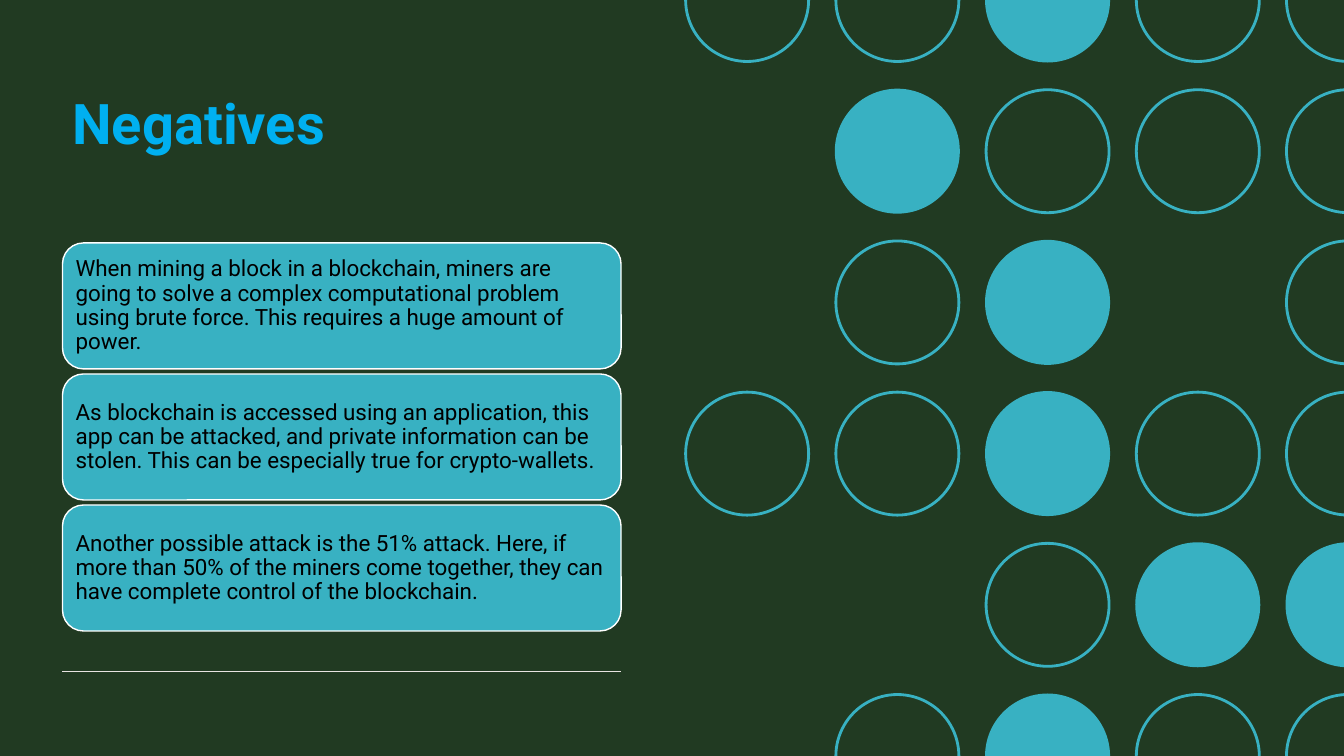
from dataclasses import dataclass
from math import acos, cos, degrees, radians, sin

from lxml.etree import SubElement
from pptx import Presentation
from pptx.dml.color import RGBColor as Rgb
from pptx.enum.shapes import MSO_CONNECTOR as Link, MSO_SHAPE as Kind
from pptx.enum.text import MSO_ANCHOR as Anchor, PP_ALIGN as Align
from pptx.oxml.ns import qn
from pptx.util import Inches, Pt


@dataclass(frozen=True)
class Theme:
    """Colours, font and type sizes of the slide."""
    back: str = "213A22"
    teal: str = "38B1C2"
    blue: str = "00B0F0"
    rule: str = "E8E3E2"
    edge: str = "FFFFFF"
    ink: str = "000000"
    font: str = "Roboto"
    title: int = 40
    body: int = 16


THEME = Theme()
WIDE, HIGH = 13.33, 7.5
LEFT, SPAN = 0.62, 5.54
DOTS = ["oo*oo", ".*ooo", ".o*.o", "oo*oo", "..o**", ".o*oo"]
CARDS = [
    "When mining a block in a blockchain, miners are going to solve a complex computational problem using brute force. This requires a huge amount of power.",
    "As blockchain is accessed using an application, this app can be attacked, and private information can be stolen. This can be especially true for crypto-wallets.",
    "Another possible attack is the 51% attack. Here, if more than 50% of the miners come together, they can have complete control of the blockchain.",
]


def paint(shape, fill, line, width=1):
    """Set fill and line, either of which may be None."""
    shape.shadow.inherit = False
    if fill:
        shape.fill.solid()
        shape.fill.fore_color.rgb = Rgb.from_string(fill)
    else:
        shape.fill.background()
    if line:
        shape.line.color.rgb = Rgb.from_string(line)
        shape.line.width = Pt(width)
    else:
        shape.line.fill.background()


def write(shape, text, size, color, anchor, bold=False):
    """Put one left-aligned paragraph into a shape."""
    frame = shape.text_frame
    frame.word_wrap = True
    frame.vertical_anchor = anchor
    para = frame.paragraphs[0]
    para.text = text
    para.alignment = Align.LEFT
    para.line_spacing = 0.9
    font = para.font
    font.name, font.size, font.bold = THEME.font, Pt(size), bold
    font.color.rgb = Rgb.from_string(color)
    return frame


def add_title(slide, text):
    """Add the heading."""
    box = slide.shapes.add_textbox(Inches(LEFT), Inches(0.9), Inches(SPAN), Inches(1.33))
    write(box, text, THEME.title, THEME.blue, Anchor.TOP, True)


def add_rule(slide, top):
    """Add the thin line below the cards."""
    rule = slide.shapes.add_connector(
        Link.STRAIGHT, Inches(LEFT), Inches(top), Inches(LEFT + SPAN), Inches(top))
    rule.line.color.rgb = Rgb.from_string(THEME.rule)
    rule.line.width = Pt(1)
    SubElement(rule._element.spPr, qn("a:effectLst"))


def add_card(slide, top, text):
    """Add a rounded card with its text."""
    card = slide.shapes.add_shape(
        Kind.ROUNDED_RECTANGLE, Inches(LEFT), Inches(top), Inches(SPAN), Inches(1.25))
    paint(card, THEME.teal, THEME.edge)
    frame = write(card, text, THEME.body, THEME.ink, Anchor.MIDDLE)
    frame.margin_left = frame.margin_right = Inches(0.07)
    frame.margin_top = frame.margin_bottom = Inches(0.07)


def add_arc(slide, x, y, rad, solid):
    """Draw the part of a circle that lies on the slide."""
    low = degrees(acos((WIDE - x) / rad)) if x + rad > WIDE else 0
    high = 360 - low
    if y < rad:
        high = min(high, 180)
    if y + rad > HIGH:
        low = max(low, 180)
    turns = [radians(a) for a in (low, (low + high) / 2, high)]
    pts = [(Inches(x + rad * cos(t)), Inches(y + rad * sin(t))) for t in turns]
    pen = slide.shapes.build_freeform(*pts[0])
    pen.add_line_segments(pts[1:], close=solid)
    shape = pen.convert_to_shape()
    track = next(shape._element.iter(qn("a:path")))
    for leg in track.findall(qn("a:lnTo")):
        track.remove(leg)
    size = str(Inches(rad))
    bend = SubElement(track, qn("a:arcTo"), wR=size, hR=size,
                      stAng=str(round(low * 60000)), swAng=str(round((high - low) * 60000)))
    track.insert(1, bend)
    return shape


def add_dot(slide, x, y, solid):
    """Add a disc or a ring, cut at the slide edge where needed."""
    rad = 0.62 if solid else 0.61
    if x + rad > WIDE or y < rad or y + rad > HIGH:
        dot = add_arc(slide, x, y, rad, solid)
    else:
        dot = slide.shapes.add_shape(
            Kind.OVAL, Inches(x - rad), Inches(y - rad), Inches(2 * rad), Inches(2 * rad))
    if solid:
        paint(dot, THEME.teal, None)
    else:
        paint(dot, None, THEME.teal, 2)


def main():
    """Build the slide and save it."""
    deck = Presentation()
    deck.slide_width, deck.slide_height = Inches(WIDE), Inches(HIGH)
    slide = deck.slides.add_slide(deck.slide_layouts[6])
    slide.background.fill.solid()
    slide.background.fill.fore_color.rgb = Rgb.from_string(THEME.back)
    add_title(slide, "Negatives")
    add_rule(slide, 6.66)
    for row, line in enumerate(DOTS):
        for col, mark in enumerate(line):
            if mark != ".":
                add_dot(slide, 7.41 + 1.49 * col, 1.5 * row, mark == "*")
    for row, text in enumerate(CARDS):
        add_card(slide, 2.41 + 1.3 * row, text)
    deck.save("out.pptx")


if __name__ == "__main__":
    main()
